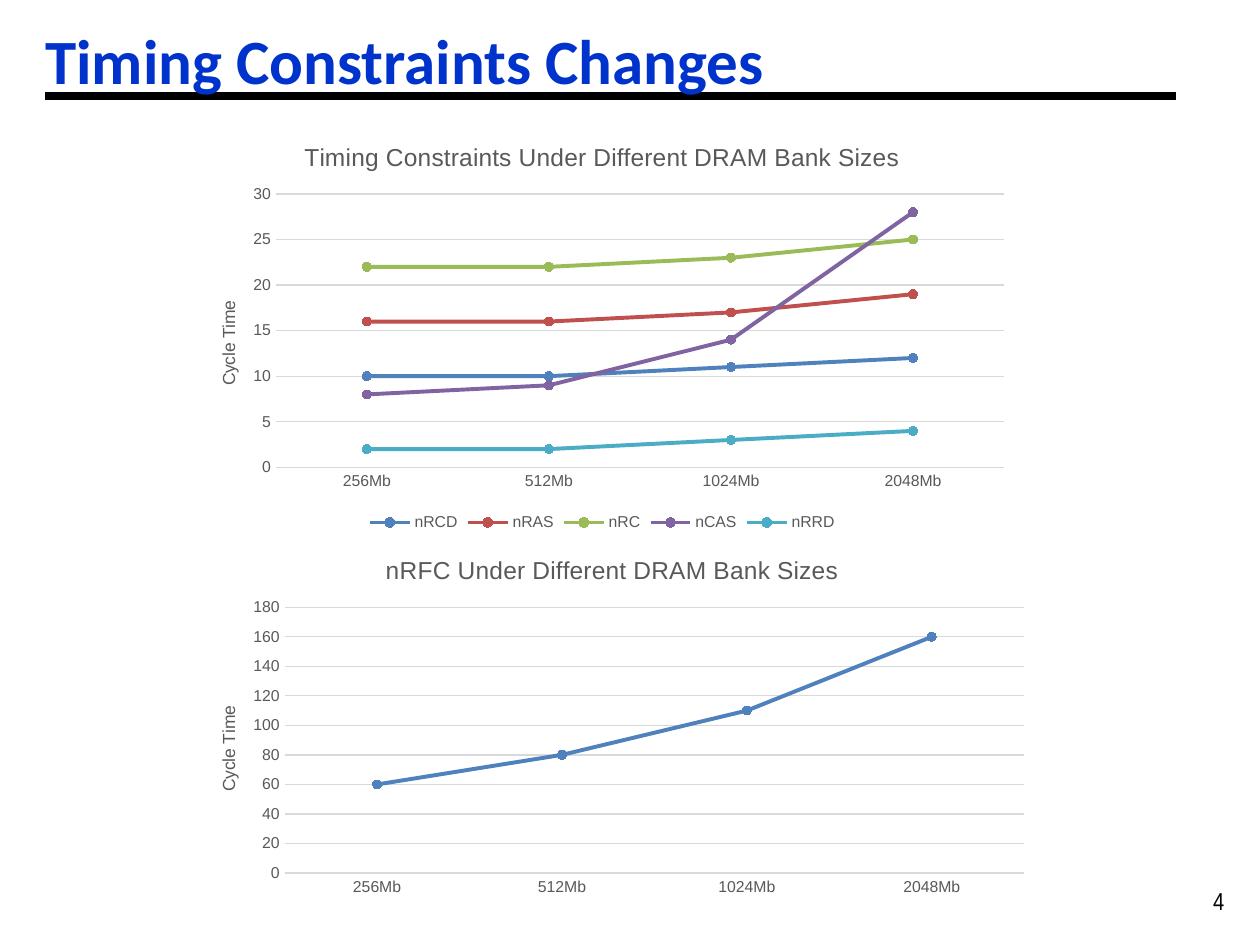
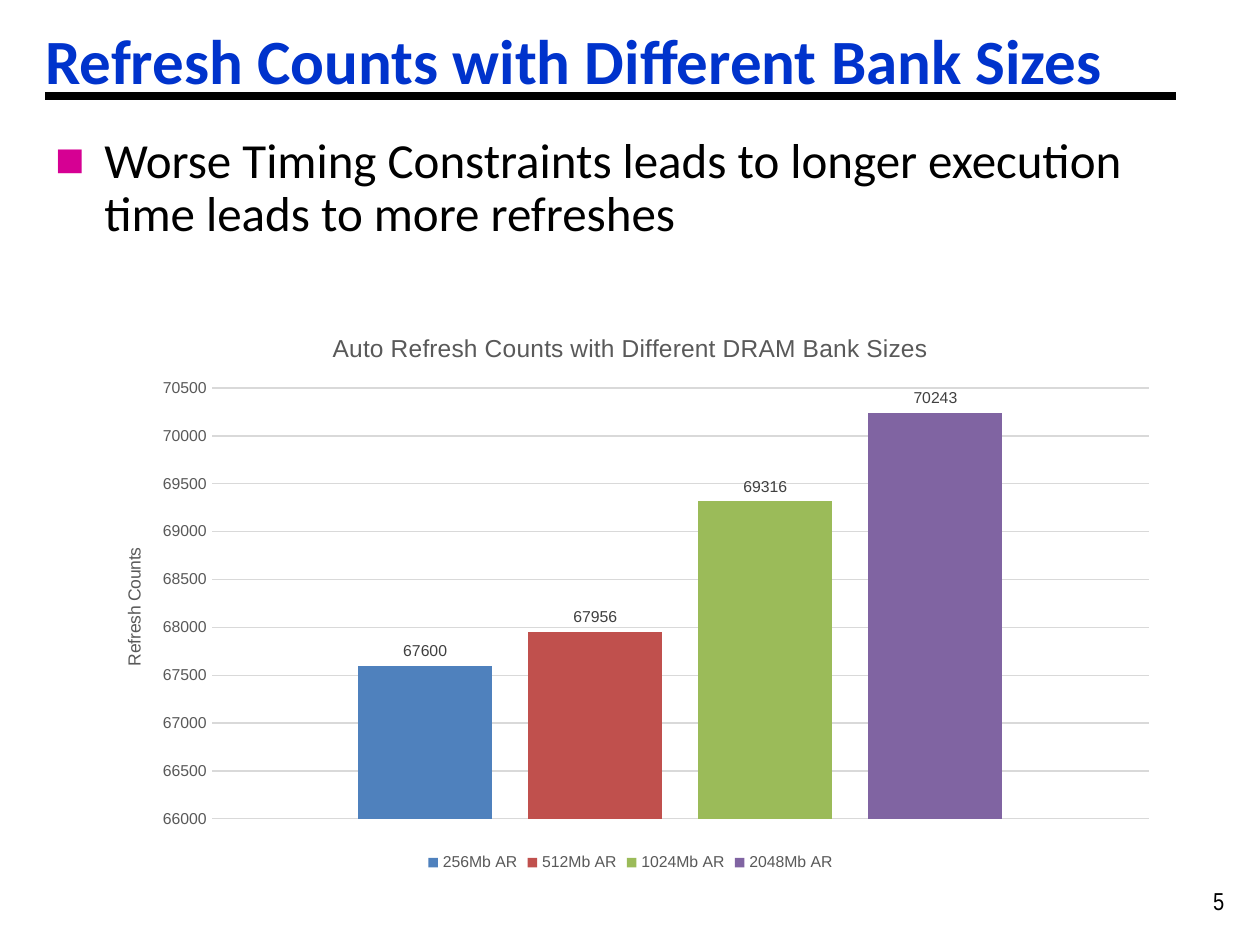
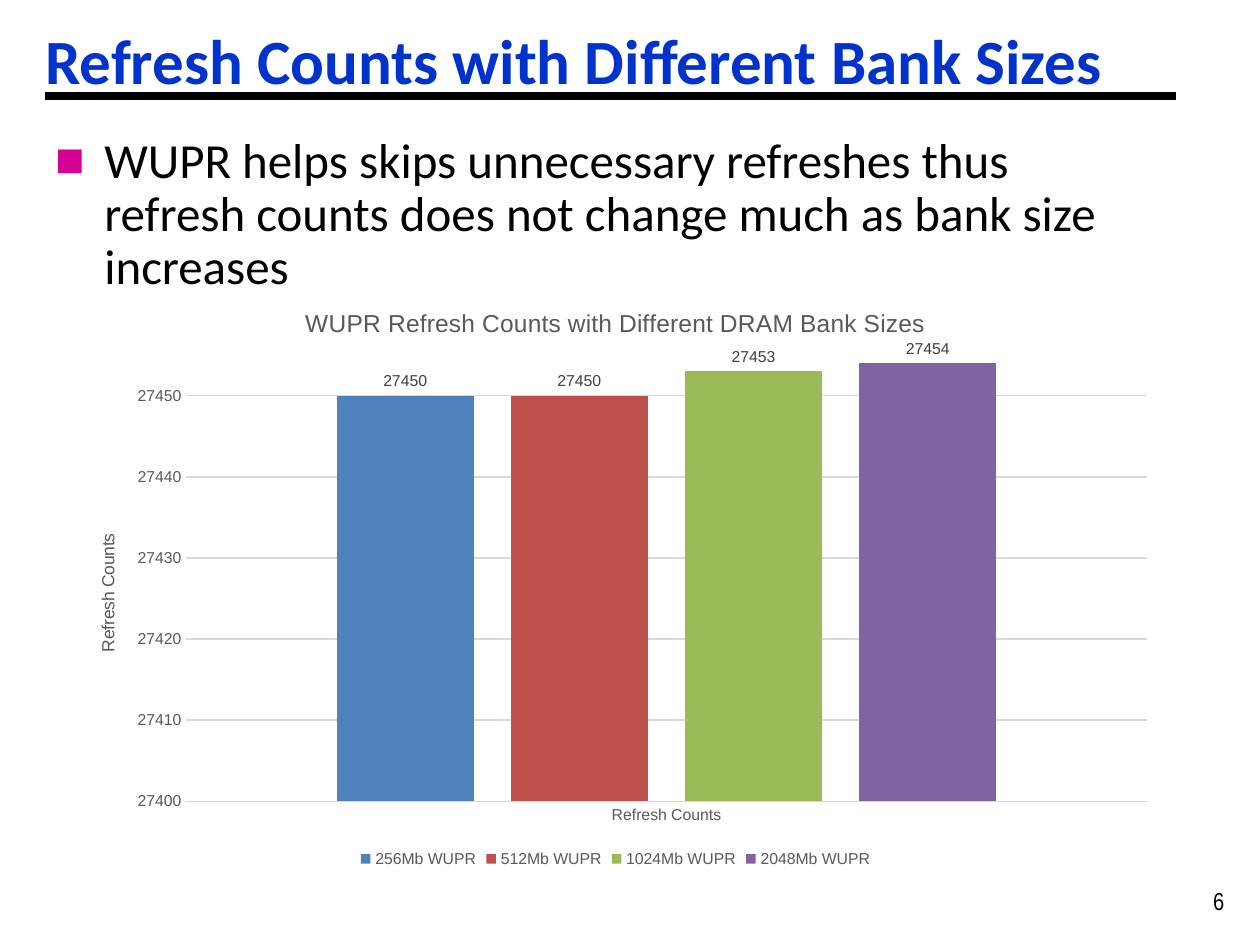
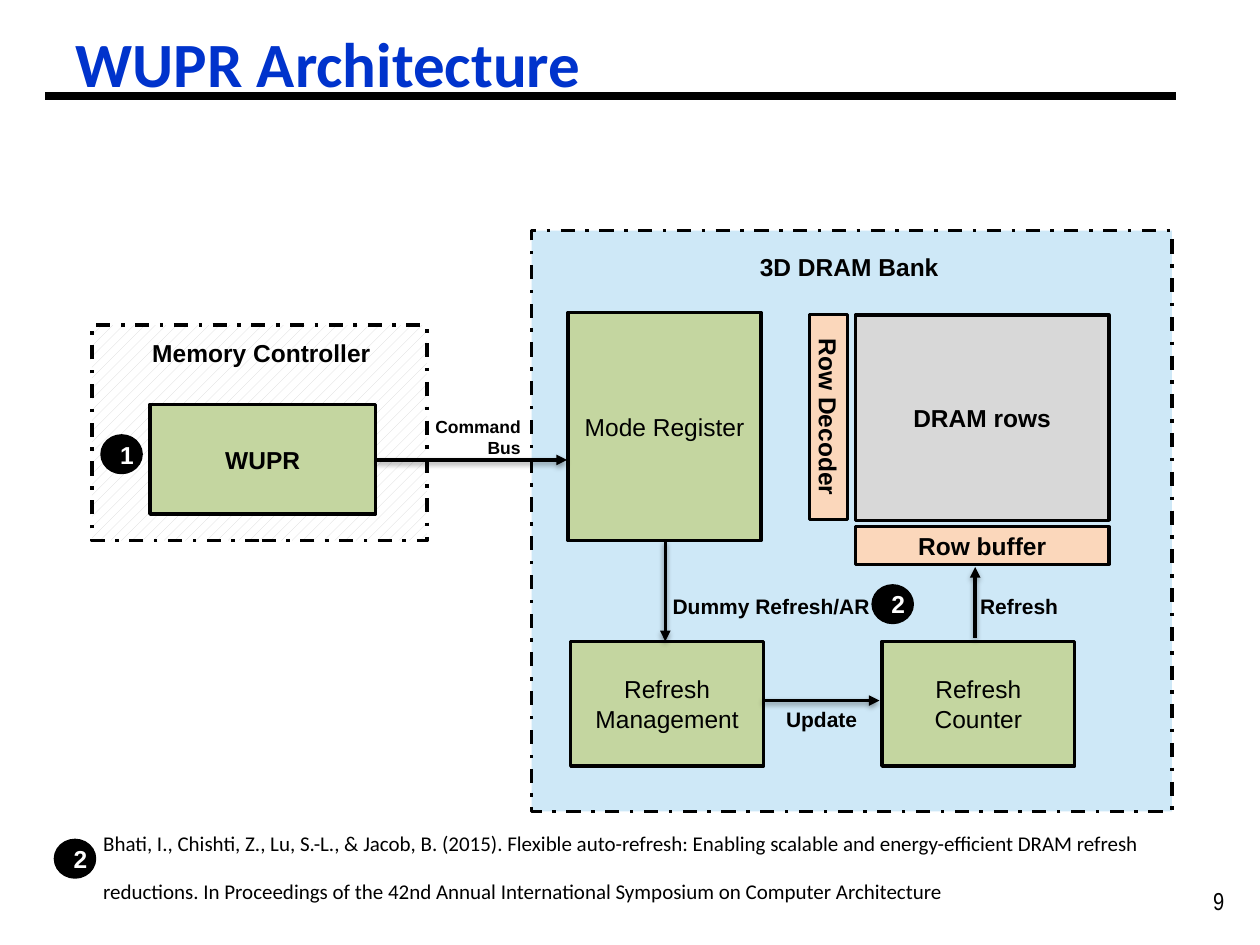
from collections import namedtuple

from lxml import etree
from pptx import Presentation
from pptx.chart.data import CategoryChartData
from pptx.dml.color import RGBColor
from pptx.enum import chart as charts, dml, shapes, text
from pptx.oxml import ns
from pptx.util import Inches, Pt

BLACK = RGBColor(0x00, 0x00, 0x00)
WHITE = RGBColor(0xFF, 0xFF, 0xFF)
TITLE_BLUE = RGBColor(0x00, 0x33, 0xCC)
BULLET_PINK = "D60093"
LABEL_GRAY = RGBColor(0x59, 0x59, 0x59)
VALUE_GRAY = RGBColor(0x40, 0x40, 0x40)
GRID_GRAY = RGBColor(0xD9, 0xD9, 0xD9)
ROWS_GRAY = RGBColor(0xD8, 0xD8, 0xD8)
BANK_BLUE = RGBColor(0xCE, 0xE8, 0xF7)
UNIT_GREEN = RGBColor(0xC4, 0xD6, 0xA0)
ROW_PEACH = RGBColor(0xFB, 0xD7, 0xBB)
SERIES_COLORS = [
    RGBColor(0x4F, 0x81, 0xBD),
    RGBColor(0xC0, 0x50, 0x4D),
    RGBColor(0x9B, 0xBB, 0x59),
    RGBColor(0x80, 0x64, 0xA2),
    RGBColor(0x4B, 0xAC, 0xC6),
]

LEFT, CENTER, RIGHT = text.PP_ALIGN.LEFT, text.PP_ALIGN.CENTER, text.PP_ALIGN.RIGHT
TOP, MIDDLE, BOTTOM = text.MSO_ANCHOR.TOP, text.MSO_ANCHOR.MIDDLE, text.MSO_ANCHOR.BOTTOM
RECTANGLE, OVAL = shapes.MSO_SHAPE.RECTANGLE, shapes.MSO_SHAPE.OVAL
BANK_SIZES = ["256Mb", "512Mb", "1024Mb", "2048Mb"]


class Box(namedtuple("Box", "left top width height")):
    def inside(self, left, top, width, height):
        return Box(self.left + left, self.top + top, width, height)

    def lengths(self):
        return [Inches(value) for value in self]


def style_font(font, size, color, name="Arial", bold=False):
    font.size, font.name, font.bold = Pt(size), name, bold
    font.color.rgb = color


def write(frame, lines, size, color=BLACK, name="Arial", bold=False, align=LEFT, anchor=TOP):
    frame.word_wrap = True
    frame.vertical_anchor = anchor
    for index, line in enumerate(lines.split("\n")):
        paragraph = frame.paragraphs[0] if index == 0 else frame.add_paragraph()
        paragraph.alignment = align
        run = paragraph.add_run()
        run.text = line
        style_font(run.font, size, color, name, bold)
    return frame


def add_text(parent, box, lines, size, **style):
    shape = parent.shapes.add_textbox(*box.lengths())
    return write(shape.text_frame, lines, size, **style)


def add_node(parent, box, fill, label="", bold=True, kind=RECTANGLE, color=BLACK, dashed=False):
    shape = parent.shapes.add_shape(kind, *box.lengths())
    shape.shadow.inherit = False
    if fill:
        shape.fill.solid()
        shape.fill.fore_color.rgb = fill
    shape.line.color.rgb = BLACK
    shape.line.width = Pt(2)
    if dashed:
        shape.line.dash_style = dml.MSO_LINE.DASH_DOT
    if label:
        write(shape.text_frame, label, 14, color=color, bold=bold, align=CENTER, anchor=MIDDLE)
    return shape


def add_badge(slide, left, top, number):
    add_node(slide, Box(left, top, 0.31, 0.29), BLACK, number, kind=OVAL, color=WHITE)


def add_line(slide, start, end, width):
    line = slide.shapes.add_connector(
        shapes.MSO_CONNECTOR.STRAIGHT, *[Inches(value) for value in start + end])
    line.line.color.rgb = BLACK
    line.line.width = Pt(width)
    effects = etree.SubElement(line._element.spPr, ns.qn("a:effectLst"))
    return line, effects


def add_arrow(slide, box, start, end):
    start, end = [(box.left + x, box.top + y) for x, y in (start, end)]
    arrow, effects = add_line(slide, start, end, 2)
    etree.SubElement(arrow.line._get_or_add_ln(), ns.qn("a:tailEnd"), type="triangle")
    shadow = etree.SubElement(
        effects, ns.qn("a:outerShdw"), blurRad=str(Pt(3.1)), dist=str(Pt(1.6)),
        dir="5400000", rotWithShape="0")
    color = etree.SubElement(shadow, ns.qn("a:srgbClr"), val=str(BLACK))
    etree.SubElement(color, ns.qn("a:alpha"), val="38000")


def add_frame(presentation, title, number, title_box=Box(0.36, 0.11, 9.5, 0.71)):
    slide = presentation.slides.add_slide(presentation.slide_layouts[6])
    add_text(slide, Box(9.53, 6.98, 0.47, 0.33), number, 14, name="Arial Narrow")
    add_line(slide, (0.36, 0.76), (9.33, 0.76), 4.5)
    frame = add_text(slide, title_box, title, 36, color=TITLE_BLUE, name="Calibri",
                     bold=True, anchor=BOTTOM)
    frame.margin_left = 0
    return slide


def add_bullet(slide, box, sentence):
    frame = add_text(slide, box, sentence, 28, name="Calibri")
    paragraph = frame.paragraphs[0]
    paragraph.line_spacing = 0.9
    properties = paragraph._p.get_or_add_pPr()
    properties.set("marL", str(Inches(0.39)))
    properties.set("indent", str(Inches(-0.39)))
    color = etree.SubElement(properties, ns.qn("a:buClr"))
    etree.SubElement(color, ns.qn("a:srgbClr"), val=BULLET_PINK)
    etree.SubElement(properties, ns.qn("a:buFont"), typeface="Arial")
    etree.SubElement(properties, ns.qn("a:buChar"), char="■")


def set_layout(element, index, **settings):
    for old in element.findall(ns.qn("c:layout")):
        element.remove(old)
    layout = etree.Element(ns.qn("c:layout"))
    manual = etree.SubElement(layout, ns.qn("c:manualLayout"))
    for key, value in settings.items():
        value = value if isinstance(value, str) else f"{value:.4f}"
        etree.SubElement(manual, ns.qn("c:" + key), val=value)
    element.insert(index, layout)


def style_axis(axis):
    axis.major_tick_mark = axis.minor_tick_mark = charts.XL_TICK_MARK.NONE
    style_font(axis.tick_labels.font, 9, LABEL_GRAY)


def add_styled_chart(slide, kind, box, plot_box, title, axis_title, axis_title_top,
                     categories, series, legend=True):
    data = CategoryChartData()
    data.categories = categories
    for name, values in series:
        data.add_series(name, values)
    chart = slide.shapes.add_chart(kind, *box.lengths(), data).chart
    style_font(chart.font, 10, BLACK)
    chart.has_title = True
    write(chart.chart_title.text_frame, title, 14, color=LABEL_GRAY, align=CENTER)
    chart.chart_title.include_in_layout = False

    chart.has_legend = legend
    if legend:
        chart.legend.position = charts.XL_LEGEND_POSITION.BOTTOM
        chart.legend.include_in_layout = False
        style_font(chart.legend.font, 9, LABEL_GRAY)

    style_axis(chart.category_axis)
    chart.category_axis.format.line.color.rgb = GRID_GRAY
    chart.category_axis.format.line.width = Pt(0.75)
    value_axis = chart.value_axis
    style_axis(value_axis)
    value_axis.format.line.fill.background()
    value_axis.has_major_gridlines = True
    value_axis.major_gridlines.format.line.color.rgb = GRID_GRAY
    value_axis.major_gridlines.format.line.width = Pt(0.75)
    value_axis.has_title = True
    write(value_axis.axis_title.text_frame, axis_title, 10, color=LABEL_GRAY, align=CENTER)
    value_axis.axis_title.text_frame._txBody.bodyPr.set("rot", "-5400000")
    value_axis.axis_title.text_frame._txBody.bodyPr.set("vert", "horz")

    set_layout(value_axis.axis_title._element, 1, xMode="edge", yMode="edge",
               x=0.24 / box.width, y=(axis_title_top - box.top) / box.height)
    plot_area = chart._chartSpace.find(".//" + ns.qn("c:plotArea"))
    set_layout(plot_area, 0, layoutTarget="inner", xMode="edge", yMode="edge",
               x=(plot_box.left - box.left) / box.width,
               y=(plot_box.top - box.top) / box.height,
               w=plot_box.width / box.width, h=plot_box.height / box.height)
    chart.plots[0].vary_by_categories = False
    return chart


def add_line_chart(slide, box, plot_box, title, axis_title_top, series, legend=True):
    chart = add_styled_chart(slide, charts.XL_CHART_TYPE.LINE_MARKERS, box, plot_box, title,
                             "Cycle Time", axis_title_top, BANK_SIZES, series, legend)
    for line, color in zip(chart.plots[0].series, SERIES_COLORS):
        line.smooth = False
        line.format.line.color.rgb = color
        line.format.line.width = Pt(2.25)
        line.marker.style = charts.XL_MARKER_STYLE.CIRCLE
        line.marker.size = 5
        line.marker.format.fill.solid()
        line.marker.format.fill.fore_color.rgb = color
        line.marker.format.line.color.rgb = color


def add_count_chart(slide, box, plot_box, title, axis_title_top, category, policy, counts):
    series = [(f"{size} {policy}", [count]) for size, count in zip(BANK_SIZES, counts)]
    chart = add_styled_chart(slide, charts.XL_CHART_TYPE.COLUMN_CLUSTERED, box, plot_box, title,
                             "Refresh Counts", axis_title_top, [category], series)
    plot = chart.plots[0]
    plot.gap_width, plot.overlap = 219, -27
    for column, color in zip(plot.series, SERIES_COLORS):
        column.format.fill.solid()
        column.format.fill.fore_color.rgb = color
        labels = column.data_labels
        labels.show_value = True
        labels.position = charts.XL_LABEL_POSITION.OUTSIDE_END
        style_font(labels.font, 9, VALUE_GRAY)
    return chart


def build_timing_slide(presentation):
    slide = add_frame(presentation, "Timing Constraints Changes", "4")
    add_line_chart(
        slide, Box(1.46, 0.97, 6.64, 3.29), Box(2.19, 1.54, 5.78, 2.17),
        "Timing Constraints Under Different DRAM Bank Sizes", 2.36,
        [("nRCD", [10, 10, 11, 12]), ("nRAS", [16, 16, 17, 19]), ("nRC", [22, 22, 23, 25]),
         ("nCAS", [8, 9, 14, 28]), ("nRRD", [2, 2, 3, 4])])
    add_line_chart(
        slide, Box(1.46, 4.25, 6.8, 2.91), Box(2.26, 4.82, 5.87, 2.11),
        "nRFC Under Different DRAM Bank Sizes", 5.58,
        [("Series 1", [60, 80, 110, 160])], legend=False)


def build_auto_refresh_slide(presentation):
    slide = add_frame(presentation, "Refresh Counts with Different Bank Sizes", "5")
    chart = add_count_chart(
        slide, Box(0.71, 2.46, 8.59, 4.5), Box(1.68, 3.08, 7.44, 3.42),
        "Auto Refresh Counts with Different DRAM Bank Sizes", 4.32,
        "1", "AR", [67600, 67956, 69316, 70243])
    chart.category_axis.visible = False
    add_bullet(slide, Box(0.34, 1.03, 8.94, 1.01),
               "Worse Timing Constraints leads to longer execution time leads to more refreshes")


def build_wupr_refresh_slide(presentation):
    slide = add_frame(presentation, "Refresh Counts with Different Bank Sizes", "6")
    add_bullet(slide, Box(0.34, 1.03, 8.94, 1.23),
               "WUPR helps skips unnecessary refreshes thus refresh counts does not change "
               "much as bank size increases")
    chart = add_count_chart(
        slide, Box(0.5, 2.26, 8.77, 4.67), Box(1.48, 2.82, 7.62, 3.54),
        "WUPR Refresh Counts with Different DRAM Bank Sizes", 4.21,
        "Refresh Counts", "WUPR", [27450, 27450, 27453, 27454])
    chart.value_axis.minimum_scale = 27400
    chart.value_axis.maximum_scale = 27455


def add_memory_controller(slide, box):
    group = slide.shapes.add_group_shape()
    controller = add_node(group, box, None, dashed=True)
    controller.fill.patterned()
    controller.fill.pattern = dml.MSO_PATTERN.DASHED_UPWARD_DIAGONAL
    controller.fill.fore_color.rgb = ROWS_GRAY
    controller.fill.back_color.rgb = WHITE
    add_text(group, box.inside(0.23, 0.05, 2.23, 0.37), "Memory Controller", 14,
             bold=True, align=CENTER)
    add_node(group, box.inside(0.46, 0.63, 1.79, 0.87), UNIT_GREEN, "WUPR")
    add_badge(slide, box.left + 0.08, box.top + 0.88, "1")


def add_dram_bank(slide, box):
    add_node(slide, box, BANK_BLUE, dashed=True)
    add_text(slide, box.inside(-0.6, 0.12, 6.24, 0.37), "3D DRAM Bank", 14,
             bold=True, align=CENTER)
    add_node(slide, box.inside(0.29, 0.65, 1.53, 1.81), UNIT_GREEN, "Mode Register", bold=False)
    for left, label in ((0.31, "Refresh\nManagement"), (2.78, "Refresh\nCounter")):
        add_node(slide, box.inside(left, 3.26, 1.53, 0.99), UNIT_GREEN, label, bold=False)
    add_node(slide, box.inside(2.57, 0.67, 2.01, 1.63), ROWS_GRAY, "DRAM rows")
    add_node(slide, box.inside(2.57, 2.35, 2.01, 0.3), ROW_PEACH, "Row buffer")
    decoder = add_node(slide, box.inside(1.54, 1.33, 1.63, 0.3), ROW_PEACH, "Row Decoder")
    decoder.rotation = 90
    for left, top, width, label in ((1.02, 2.83, 1.94, "Dummy Refresh/AR"),
                                    (1.92, 3.73, 0.79, "Update"),
                                    (3.46, 2.83, 1.53, "Refresh")):
        add_text(slide, box.inside(left, top, width, 0.3), label, 12, bold=True)
    for start, end in (((1.06, 2.46), (1.06, 3.26)),
                       ((1.83, 3.73), (2.76, 3.73)),
                       ((3.52, 3.23), (3.52, 2.67)),
                       ((-1.23, 1.82), (0.28, 1.82))):
        add_arrow(slide, box, start, end)
    add_badge(slide, box.left + 2.71, box.top + 2.82, "2")


def add_citation(slide, box):
    frame = add_text(
        slide, box.inside(0.28, 0, 9.21, 0.94),
        "Bhati, I., Chishti, Z., Lu, S.-L., & Jacob, B. (2015). Flexible auto-refresh: Enabling "
        "scalable and energy-efficient DRAM refresh reductions. In Proceedings of the 42nd "
        "Annual International Symposium on Computer Architecture", 12, name="Calibri")
    frame.margin_top = 0
    frame.paragraphs[0].line_spacing = Pt(27)
    add_badge(slide, box.left, box.top + 0.25, "2")


def build_architecture_slide(presentation):
    slide = add_frame(presentation, "WUPR Architecture", "9", Box(0.6, 0.13, 8.42, 0.71))
    add_memory_controller(slide, Box(0.73, 2.58, 2.66, 1.71))
    add_dram_bank(slide, Box(4.22, 1.83, 5.08, 4.61))
    add_text(slide, Box(3.28, 3.25, 0.95, 0.44), "Command Bus", 10, bold=True, align=RIGHT)
    add_citation(slide, Box(0.44, 6.42, 9.49, 0.94))


def main():
    presentation = Presentation()
    presentation.slide_width, presentation.slide_height = Inches(10), Inches(7.5)
    build_timing_slide(presentation)
    build_auto_refresh_slide(presentation)
    build_wupr_refresh_slide(presentation)
    build_architecture_slide(presentation)
    presentation.save("out.pptx")


if __name__ == "__main__":
    main()
